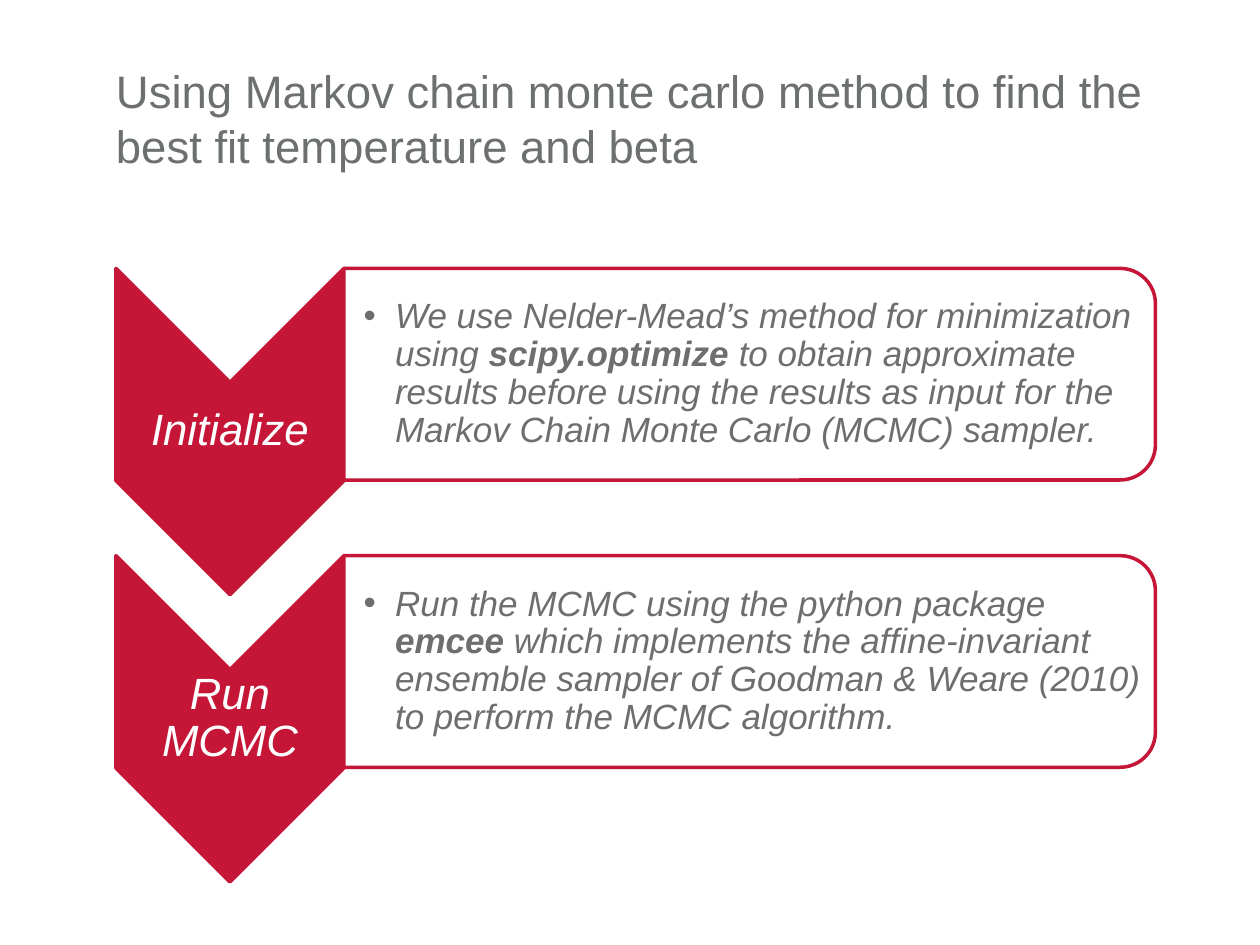
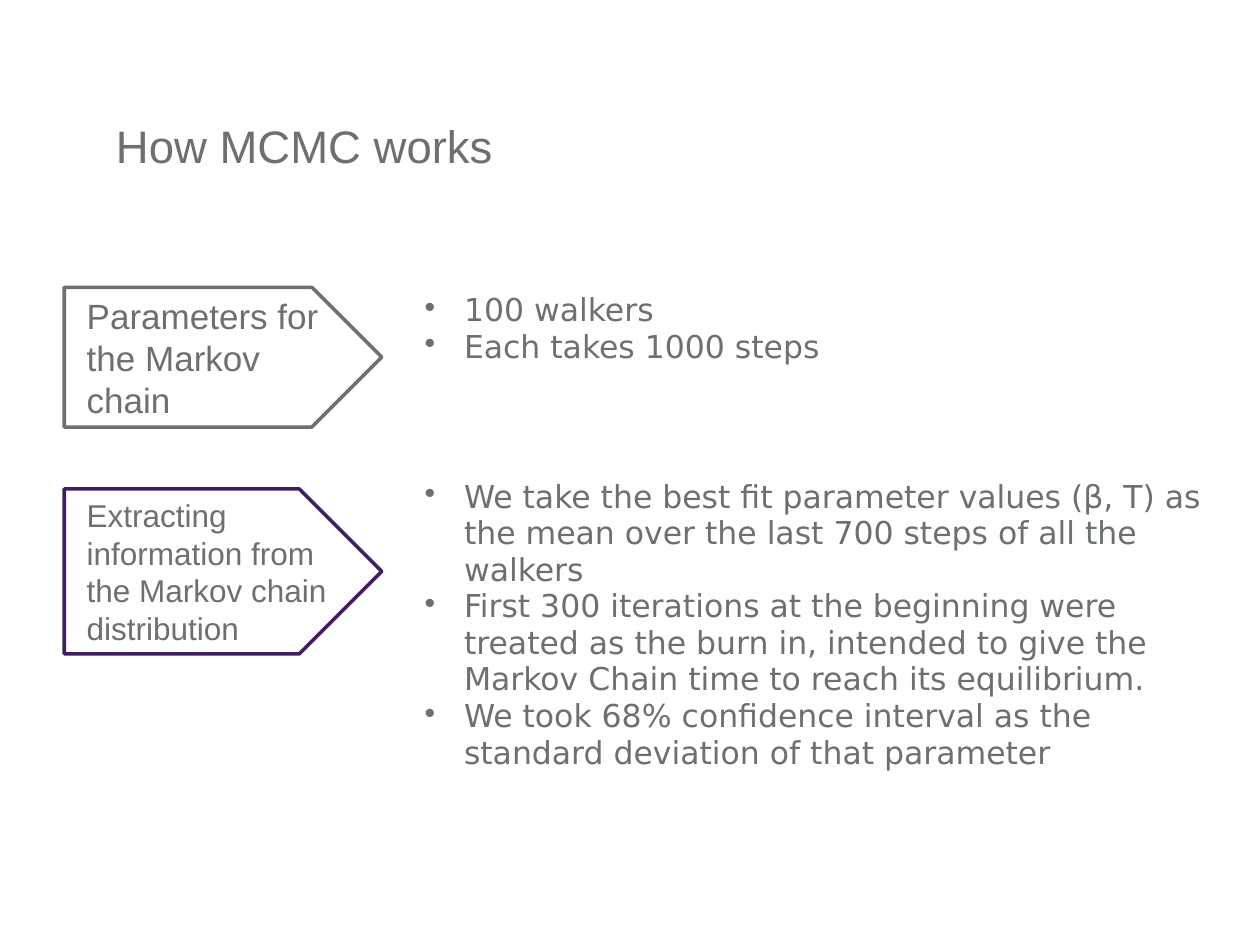
"""Build two slides on fitting temperature and beta with a Markov chain."""
from dataclasses import dataclass

from pptx import Presentation
from pptx.dml.color import RGBColor
from pptx.enum import shapes, text
from pptx.util import Pt

STEPS_TITLE = "Using Markov chain monte carlo method to find the best fit temperature and beta"
STEPS = [
    ("Initialize", [
        ("We use Nelder-Mead’s method for minimization using ", False),
        ("scipy.optimize ", True),
        ("to obtain approximate results before using the results as input for "
         "the Markov Chain Monte Carlo (MCMC) sampler.", False)]),
    ("Run MCMC", [
        ("Run the MCMC using the python package ", False),
        ("emcee", True),
        (" which implements the affine-invariant ensemble sampler of "
         "Goodman & Weare (2010) to perform the MCMC algorithm.", False)]),
]

WORKS_TITLE = "How MCMC works"
TOPICS = [
    dict(label="Parameters for the Markov chain", size=20, line="6C7070",
         top=164.16, height=79.92, row=124.56, inset=39,
         points=["100 walkers", "Each takes 1000 steps"]),
    dict(label="Extracting information from the Markov chain distribution", size=18,
         line="3F1E61", top=279.36, height=94.32, row=177.84, inset=21,
         points=["We take the best fit parameter values (β, T) as the mean over the "
                 "last 700 steps of all the walkers",
                 "First 300 iterations at the beginning were treated as the burn in, "
                 "intended to give the Markov Chain time to reach its equilibrium.",
                 "We took 68% confidence interval as the standard deviation of that "
                 "parameter"]),
]


@dataclass(frozen=True)
class Theme:
    """Colours, fonts and type sizes of both slides."""
    grey: str = "6C7070"
    body_grey: str = "6E6E6F"
    red: str = "C51638"
    white: str = "FFFFFF"
    font: str = "Arial"
    table_font: str = "DejaVu Sans"
    title: int = 26
    label: int = 25
    body: int = 20
    table: int = 18
    line: int = 2


T = Theme()
LEFT = 66.24
STEP_TOP, STEP_PITCH = 153.36, 164.16
CHEVRON_W, CHEVRON_H = 130.32, 186.48
PANEL_W, PANEL_H = 463.68, 120.96


def style(p, size, color, font=T.font, italic=False):
    """Format every run of a paragraph."""
    for r in p.runs:
        r.font.size, r.font.name, r.font.italic = Pt(size), font, italic
        r.font.color.rgb = RGBColor.from_string(color)


def place(sp, left, top, width, height):
    """Move and size a shape."""
    sp.left, sp.top, sp.width, sp.height = Pt(left), Pt(top), Pt(width), Pt(height)


def frame(sp, anchor, margins):
    """Prepare a wrapping text frame with fixed margins."""
    tf = sp.text_frame
    tf.word_wrap, tf.auto_size, tf.vertical_anchor = True, text.MSO_AUTO_SIZE.NONE, anchor
    tf.margin_left, tf.margin_top, tf.margin_right, tf.margin_bottom = map(Pt, margins)
    return tf


def indent(p, left, first=0):
    """Set left and first-line indents."""
    pPr = p._p.get_or_add_pPr()
    pPr.set("marL", str(Pt(left)))
    pPr.set("indent", str(Pt(first)))
    return pPr


def bullet(p, left):
    """Hang a round bullet before the paragraph."""
    pPr = indent(p, left, -left)
    pPr.append(pPr.makeelement(
        "{http://schemas.openxmlformats.org/drawingml/2006/main}buChar", {"char": "•"}))


def add_slide(prs, layout, title):
    """Add a slide with the shared title style."""
    s = prs.slides.add_slide(prs.slide_layouts[layout])
    place(s.shapes.title, LEFT, 48.24, 594, 50.4)
    tf = frame(s.shapes.title, text.MSO_ANCHOR.BOTTOM, (0, 0, 0, 0))
    tf.text = title
    tf.paragraphs[0].alignment = text.PP_ALIGN.LEFT
    style(tf.paragraphs[0], T.title, T.grey)
    return s


def add_outline(s, kind, box, fill, line):
    """Add a filled, outlined preset shape."""
    sp = s.shapes.add_shape(kind, *map(Pt, box))
    sp.shadow.inherit = False
    sp.fill.solid()
    sp.fill.fore_color.rgb = RGBColor.from_string(fill)
    sp.line.color.rgb = RGBColor.from_string(line)
    sp.line.width = Pt(T.line)
    return sp


def add_turned(s, kind, left, top, width, height, fill):
    """Add a shape turned a quarter so that it covers the given box."""
    shift = (width - height) / 2
    sp = add_outline(s, kind, (left + shift, top - shift, height, width), fill, T.red)
    sp.rotation = 90


def add_step(s, body, top, label, parts):
    """Add a chevron with its label and the explaining panel."""
    panel_left = LEFT + CHEVRON_W
    add_turned(s, shapes.MSO_SHAPE.CHEVRON, LEFT, top, CHEVRON_W, CHEVRON_H, T.red)
    add_turned(s, shapes.MSO_SHAPE.ROUND_2_SAME_RECTANGLE, panel_left, top,
               PANEL_W, PANEL_H, T.white)

    sp = s.shapes.add_textbox(Pt(LEFT), Pt(top + CHEVRON_W / 2), Pt(CHEVRON_W),
                              Pt(CHEVRON_H - CHEVRON_W))
    tf = frame(sp, text.MSO_ANCHOR.MIDDLE, (1.25,) * 4)
    tf.text = label
    p = tf.paragraphs[0]
    p.alignment, p.line_spacing = text.PP_ALIGN.CENTER, 0.9
    style(p, T.label, T.white, italic=True)

    place(body, panel_left, top + 5.76, 457.2, 109.44)
    p = frame(body, text.MSO_ANCHOR.MIDDLE, (11.2, 0.9, 0.9, 0.9)).paragraphs[0]
    for words, bold in parts:
        r = p.add_run()
        r.text, r.font.bold = words, bold
    p.line_spacing, p.space_before = 0.9, Pt(0)
    bullet(p, 18)
    style(p, T.body, T.body_grey, italic=True)
    s.shapes.element.append(body.element)


def add_topics(s):
    """Add the table of points and the arrow labels beside its rows."""
    widths = (226.8, 465.12)
    table = s.shapes.add_table(len(TOPICS), 2, Pt(8.64), Pt(128.16), Pt(sum(widths)),
                               Pt(sum(t["row"] for t in TOPICS))).table
    table.first_row = table.horz_banding = False
    for column, width in zip(table.columns, widths):
        column.width = Pt(width)
    for row, topic in zip(table.rows, TOPICS):
        row.height = Pt(topic["row"])
        for cell in row.cells:
            cell.fill.background()
        cell = row.cells[1]
        cell.margin_top, cell.margin_bottom = Pt(topic["inset"]), Pt(0)
        cell.text_frame.text = "\n".join(topic["points"])
        for p in cell.text_frame.paragraphs:
            bullet(p, 22.5)
            style(p, T.table, T.grey, T.table_font)

    for topic in TOPICS:
        sp = add_outline(s, shapes.MSO_SHAPE.PENTAGON,
                         (36.72, topic["top"], 181.44, topic["height"]),
                         T.white, topic["line"])
        tf = frame(sp, text.MSO_ANCHOR.MIDDLE, (7.2, 3.6, 7.2, 3.6))
        tf.text = topic["label"]
        p = tf.paragraphs[0]
        p.alignment = text.PP_ALIGN.LEFT
        indent(p, 5.76)
        style(p, topic["size"], T.grey)


def main():
    """Build and save the slides."""
    prs = Presentation()
    prs.slide_width, prs.slide_height = Pt(720), Pt(540)
    s = add_slide(prs, 3, STEPS_TITLE)
    bodies = list(s.placeholders)[1:]
    for i, (body, (label, parts)) in enumerate(zip(bodies, STEPS)):
        add_step(s, body, STEP_TOP + i * STEP_PITCH, label, parts)
    add_topics(add_slide(prs, 5, WORKS_TITLE))
    prs.save("out.pptx")


if __name__ == "__main__":
    main()
